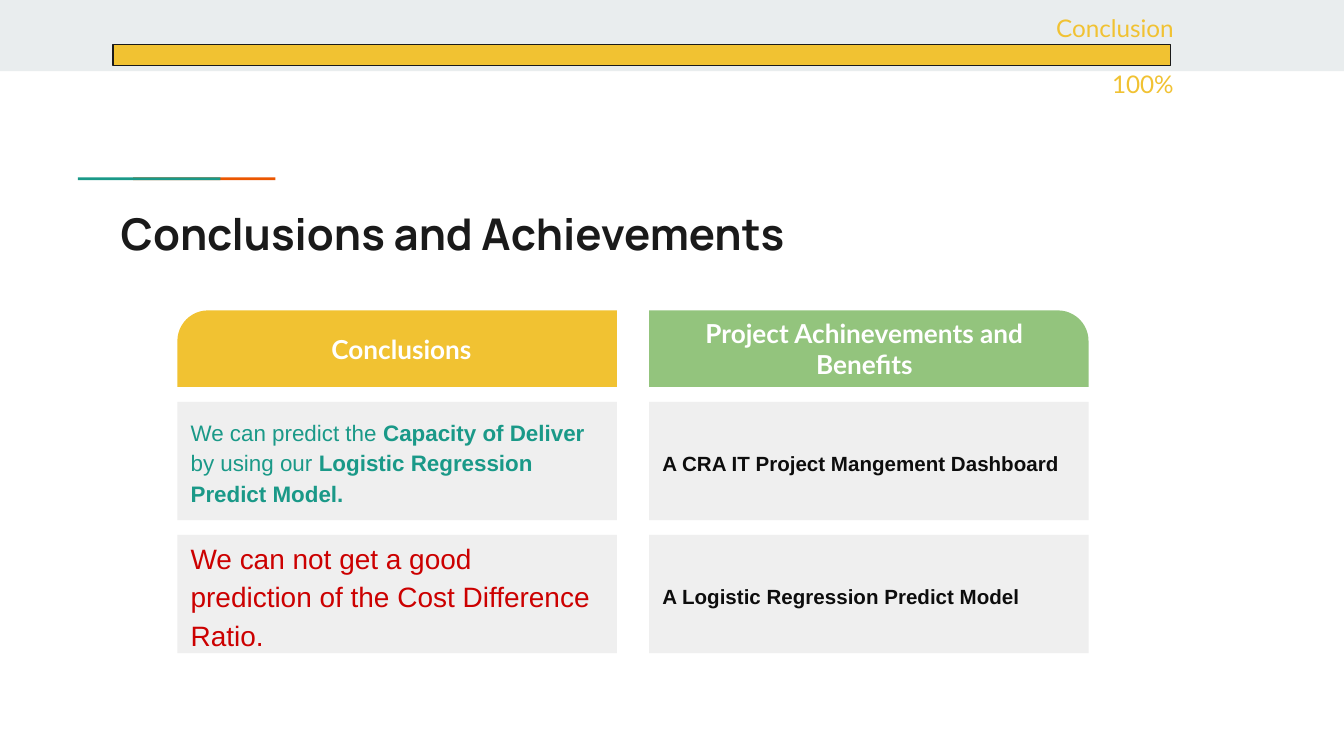
from pptx import Presentation
from pptx.dml.color import RGBColor
from pptx.enum import shapes, text
from pptx.util import Inches, Pt

COLORS = {
    "band": "E9EDEE", "orange": "EB5600", "teal": "1A9988", "ink": "1A1A1A",
    "yellow": "F1C232", "green": "93C47D", "panel": "EFEFEF", "white": "FFFFFF",
    "black": "0D0D0D", "red": "CC0000",
}
INSET = 0.1
COLUMN_GAP = 0.24
ROW_GAP = 0.11
HEADER_HEIGHT = 0.57


def color(name):
    return RGBColor.from_string(COLORS[name])


def add_block(slide, box, fill, kind=shapes.MSO_SHAPE.RECTANGLE):
    shape = slide.shapes.add_shape(kind, *map(Inches, box))
    shape.shadow.inherit = False
    shape.fill.solid()
    shape.fill.fore_color.rgb = color(fill)
    shape.line.fill.background()
    return shape


def prepare_frame(shape, anchor):
    frame = shape.text_frame
    frame.word_wrap = True
    frame.vertical_anchor = anchor
    frame.margin_left = frame.margin_right = Inches(INSET)
    frame.margin_top = frame.margin_bottom = Inches(INSET)
    return frame


def style(paragraph, name, size, ink, bold=None, align=text.PP_ALIGN.LEFT):
    paragraph.alignment = align
    font = paragraph.font
    font.name, font.size, font.bold = name, Pt(size), bold
    font.color.rgb = color(ink)


def add_progress(slide, box):
    left, top, width, height = box
    add_block(slide, box, "band")
    label = slide.shapes.add_textbox(
        Inches(left + 6.83), Inches(top - 0.03), Inches(2), Inches(0.9))
    frame = prepare_frame(label, text.MSO_ANCHOR.TOP)
    frame.text = "Conclusion\n100%"
    for paragraph in frame.paragraphs:
        style(paragraph, "Lato", 13, "yellow", align=text.PP_ALIGN.RIGHT)
        paragraph.line_spacing = 1.15
    frame.paragraphs[1].space_before = Pt(12)
    bar = add_block(slide, (left + 0.84, top + 0.33, 7.87, 0.16), "yellow")
    bar.line.color.rgb = color("ink")
    bar.line.width = Pt(0.75)


def add_title(slide, box):
    left, top, width, height = box
    for offset, fill in ((0.19, "orange"), (-0.22, "teal")):
        add_block(slide, (left + offset, top - 0.12, 1.06, 0.02), fill)
    title = slide.shapes.add_textbox(*map(Inches, box))
    frame = prepare_frame(title, text.MSO_ANCHOR.TOP)
    frame.text = "Conclusions and Achievements"
    style(frame.paragraphs[0], "Manrope", 23.4, "ink", True)


def add_header(slide, box, label, fill, mirrored):
    shape = add_block(slide, box, fill, shapes.MSO_SHAPE.ROUND_1_RECTANGLE)
    shape.adjustments[0] = 0.4
    if mirrored:
        shape._element.spPr.xfrm.set("flipH", "1")
    frame = prepare_frame(shape, text.MSO_ANCHOR.MIDDLE)
    frame.text = label
    style(frame.paragraphs[0], "Lato", 14, "white", True, text.PP_ALIGN.CENTER)


def add_cell(slide, box, runs, size, ink):
    shape = add_block(slide, box, "panel")
    paragraph = prepare_frame(shape, text.MSO_ANCHOR.MIDDLE).paragraphs[0]
    style(paragraph, "Arial", size, ink)
    paragraph.line_spacing = 1.15
    for words, bold in runs:
        run = paragraph.add_run()
        run.text = words
        run.font.bold = bold


def add_columns(slide, box, columns):
    left, top, width, height = box
    column_width = (width - COLUMN_GAP * (len(columns) - 1)) / len(columns)
    for index, (label, fill, mirrored, cells) in enumerate(columns):
        x = left + index * (column_width + COLUMN_GAP)
        add_header(slide, (x, top, column_width, HEADER_HEIGHT), label, fill, mirrored)
        cell_height = (height - HEADER_HEIGHT) / len(cells) - ROW_GAP
        for row, cell in enumerate(cells):
            y = top + HEADER_HEIGHT + ROW_GAP + row * (cell_height + ROW_GAP)
            add_cell(slide, (x, y, column_width, cell_height), *cell)


def main():
    presentation = Presentation()
    presentation.slide_width = Inches(10)
    presentation.slide_height = Inches(10 * 9 / 16)
    slide = presentation.slides.add_slide(presentation.slide_layouts[6])
    add_progress(slide, (0, 0, 10, 0.53))
    add_title(slide, (0.8, 1.44, 8.41, 0.59))
    add_columns(slide, (1.32, 2.31, 6.78, 2.55), [
        ("Conclusions", "yellow", True, [
            ([("We can predict the ", False), ("Capacity of Deliver", True),
              (" by using our ", False),
              ("Logistic Regression Predict Model.", True)], 12, "teal"),
            ([("We can not get a good  prediction of the Cost Difference Ratio.",
               False)], 15, "red"),
        ]),
        ("Project Achinevements and Benefits", "green", False, [
            ([("A CRA IT Project Mangement Dashboard", True)], 11, "black"),
            ([("A Logistic Regression Predict Model", True)], 11, "black"),
        ]),
    ])
    presentation.save("out.pptx")


if __name__ == "__main__":
    main()
